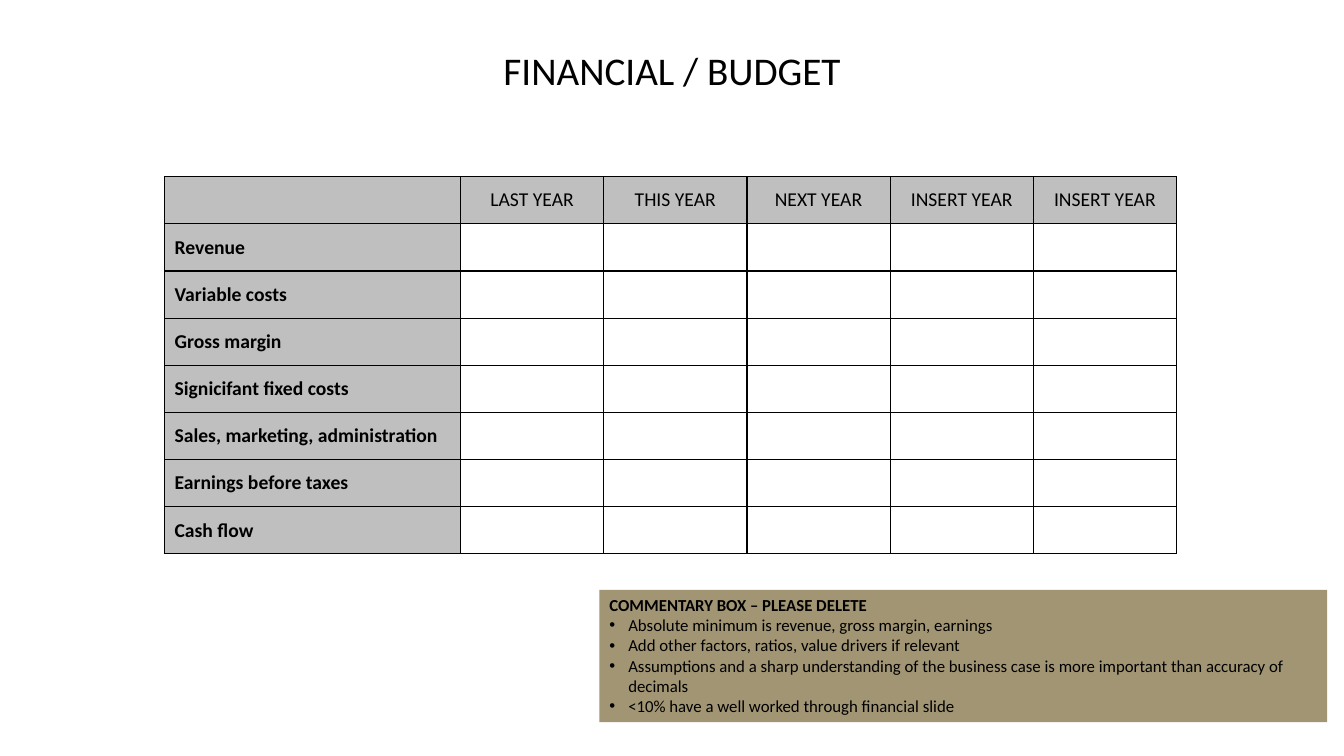
from dataclasses import dataclass

from lxml.etree import SubElement
from pptx import Presentation
from pptx.dml.color import RGBColor
from pptx.enum.shapes import MSO_SHAPE
from pptx.enum.text import MSO_ANCHOR as ANCHOR, PP_ALIGN as ALIGN
from pptx.oxml.ns import qn
from pptx.util import Pt

FONT = "Calibri"
BLACK, GREY, TAN = "000000", "BFBFBF", "A19574"
YEARS = ["LAST YEAR", "THIS YEAR", "NEXT YEAR", "INSERT YEAR", "INSERT YEAR"]
ITEMS = [
    "Revenue",
    "Variable costs",
    "Gross margin",
    "Signicifant fixed costs",
    "Sales, marketing, administration",
    "Earnings before taxes",
    "Cash flow",
]
LABEL_WIDTH, YEAR_WIDTH, ROW_HEIGHT = 211.5, 102.3, 33.7
BULLET_INDENT = 13.5


@dataclass
class Note:
    text: str
    bold: bool = False
    bullet: bool = True


NOTES = [
    Note("COMMENTARY BOX – PLEASE DELETE", bold=True, bullet=False),
    Note("Absolute minimum is revenue, gross margin, earnings"),
    Note("Add other factors, ratios, value drivers if relevant"),
    Note("Assumptions and a sharp understanding of the business case "
         "is more important than accuracy of decimals"),
    Note("<10% have a well worked through financial slide"),
]


def set_color(target, color: str) -> None:
    target.rgb = RGBColor.from_string(color)


def set_fill(sp, color: str) -> None:
    sp.fill.solid()
    set_color(sp.fill.fore_color, color)


def write(p, text: str, *, size: float, bold: bool = False, align=ALIGN.LEFT) -> None:
    p.alignment = align
    r = p.add_run()
    r.text = text
    r.font.name, r.font.size, r.font.bold = FONT, Pt(size), bold
    set_color(r.font.color, BLACK)


def add_bullet(p) -> None:
    pPr = p._p.get_or_add_pPr()
    pPr.set("marL", str(Pt(BULLET_INDENT)))
    pPr.set("indent", str(-Pt(BULLET_INDENT)))
    SubElement(pPr, qn("a:buFont"), typeface="Arial")
    SubElement(pPr, qn("a:buChar"), char="•")


def add_borders(cell) -> None:
    """Draw 1 pt black lines on all sides; call before filling the cell."""
    tcPr = cell._tc.get_or_add_tcPr()
    for side in ("lnL", "lnR", "lnT", "lnB"):
        ln = SubElement(tcPr, qn(f"a:{side}"), w=str(Pt(1)))
        fill = SubElement(ln, qn("a:solidFill"))
        SubElement(fill, qn("a:srgbClr"), val=BLACK)


def add_title(slide) -> None:
    tf = slide.shapes.add_textbox(0, 0, Pt(960), Pt(104.4)).text_frame
    tf.word_wrap = True
    tf.vertical_anchor = ANCHOR.MIDDLE
    p = tf.paragraphs[0]
    p.line_spacing = 0.9
    write(p, "FINANCIAL / BUDGET", size=28, align=ALIGN.CENTER)


def add_budget_table(slide) -> None:
    rows, cols = len(ITEMS) + 1, len(YEARS) + 1
    frame = slide.shapes.add_table(
        rows, cols, Pt(117.5), Pt(126.2),
        Pt(LABEL_WIDTH + YEAR_WIDTH * len(YEARS)), Pt(ROW_HEIGHT * rows))
    table = frame.table
    table.first_row = table.horz_banding = False
    for i, col in enumerate(table.columns):
        col.width = Pt(YEAR_WIDTH if i else LABEL_WIDTH)
    for i, row in enumerate(table.rows):
        row.height = Pt(ROW_HEIGHT)
        for j, cell in enumerate(row.cells):
            cell.vertical_anchor = ANCHOR.MIDDLE
            add_borders(cell)
            if i and j:
                cell.fill.background()
                continue
            set_fill(cell, GREY)
            p = cell.text_frame.paragraphs[0]
            if i:
                write(p, ITEMS[i - 1], size=14, bold=True)
            elif j:
                write(p, YEARS[j - 1], size=14, align=ALIGN.CENTER)


def add_commentary(slide) -> None:
    sp = slide.shapes.add_shape(
        MSO_SHAPE.RECTANGLE, Pt(428.2), Pt(421.4), Pt(519.8), Pt(94.4))
    sp.shadow.inherit = False
    set_fill(sp, TAN)
    sp.line.fill.background()
    tf = sp.text_frame
    tf.word_wrap = True
    tf.vertical_anchor = ANCHOR.TOP
    for i, note in enumerate(NOTES):
        p = tf.add_paragraph() if i else tf.paragraphs[0]
        if note.bullet:
            add_bullet(p)
        write(p, note.text, size=12, bold=note.bold)


def main() -> None:
    prs = Presentation()
    prs.slide_width, prs.slide_height = Pt(960), Pt(540)
    slide = prs.slides.add_slide(prs.slide_layouts[6])
    add_budget_table(slide)
    add_commentary(slide)
    add_title(slide)
    prs.save("out.pptx")


if __name__ == "__main__":
    main()
